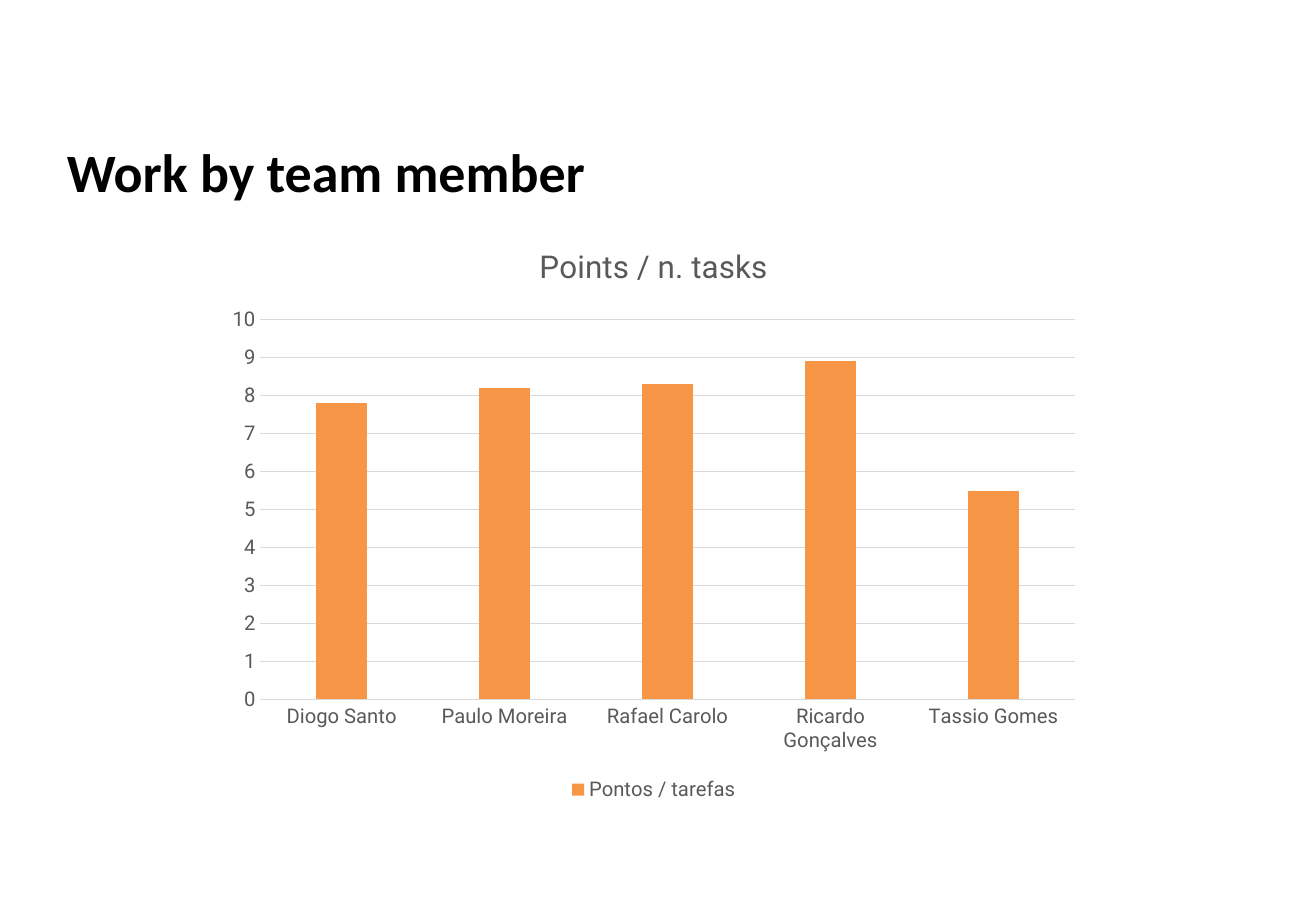
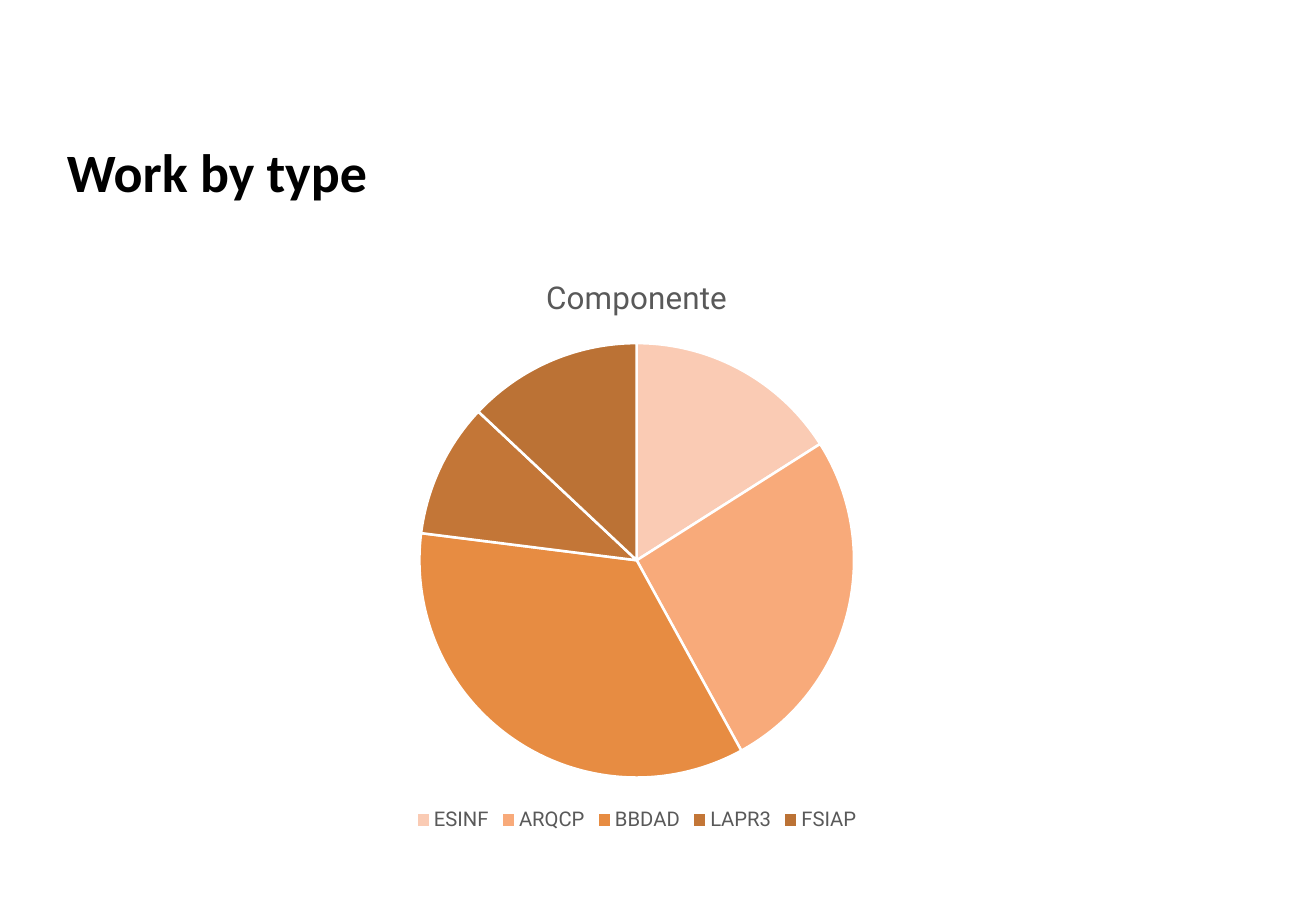
from pptx import Presentation
from pptx.chart.data import CategoryChartData
from pptx.dml.color import RGBColor
from pptx.enum.chart import XL_CHART_TYPE, XL_LEGEND_POSITION, XL_TICK_MARK
from pptx.enum.text import MSO_ANCHOR, MSO_AUTO_SIZE, PP_ALIGN
from pptx.util import Inches, Pt


def rgb(hex_color):
    return RGBColor.from_string(hex_color)


class Deck:
    BLACK = "000000"
    WHITE = "FFFFFF"
    GREY = "595959"
    RULE = "D9D9D9"
    TITLE_FONT = "Calibri"
    CHART_FONT = "Roboto"
    CHART_SIZE = (7.22, 4.81)

    def __init__(self):
        self.presentation = Presentation()
        self.presentation.slide_width = Inches(10.83)
        self.presentation.slide_height = Inches(7.5)
        self.slide = None

    def style_font(self, font, size, color, name=CHART_FONT, bold=False):
        font.name = name
        font.size = Pt(size)
        font.bold = bold
        font.color.rgb = rgb(color)

    def add_slide(self, heading):
        self.slide = self.presentation.slides.add_slide(self.presentation.slide_layouts[5])
        background = self.slide.background.fill
        background.solid()
        background.fore_color.rgb = rgb(self.WHITE)
        title = self.slide.shapes.title
        title.left, title.top = Inches(0.45), Inches(1.09)
        title.width, title.height = Inches(9.89), Inches(0.63)
        frame = title.text_frame
        frame.text = heading
        frame.auto_size = MSO_AUTO_SIZE.NONE
        frame.vertical_anchor = MSO_ANCHOR.MIDDLE
        paragraph = frame.paragraphs[0]
        paragraph.alignment = PP_ALIGN.LEFT
        self.style_font(paragraph.runs[0].font, 32, self.BLACK, self.TITLE_FONT, True)

    def add_chart(self, kind, left, top, heading, series_name, values):
        data = CategoryChartData()
        data.categories = list(values)
        data.add_series(series_name, list(values.values()))
        width, height = self.CHART_SIZE
        chart = self.slide.shapes.add_chart(
            kind, Inches(left), Inches(top), Inches(width), Inches(height), data
        ).chart
        self.style_font(chart.font, 10, self.BLACK)
        chart.has_title = True
        chart.chart_title.include_in_layout = False
        chart.chart_title.text_frame.text = heading
        heading_run = chart.chart_title.text_frame.paragraphs[0].runs[0]
        self.style_font(heading_run.font, 18.6, self.GREY)
        chart.has_legend = True
        chart.legend.position = XL_LEGEND_POSITION.BOTTOM
        chart.legend.include_in_layout = False
        self.style_font(chart.legend.font, 12, self.GREY)
        return chart

    def style_rule(self, line):
        line.color.rgb = rgb(self.RULE)
        line.width = Pt(0.75)

    def add_columns(self, left, top, heading, series_name, values, color):
        chart = self.add_chart(
            XL_CHART_TYPE.COLUMN_CLUSTERED, left, top, heading, series_name, values
        )
        plot = chart.plots[0]
        plot.gap_width = 219
        plot.overlap = -27
        plot.vary_by_categories = False
        columns = plot.series[0]
        columns.invert_if_negative = False
        columns.format.fill.solid()
        columns.format.fill.fore_color.rgb = rgb(color)
        for axis in (chart.category_axis, chart.value_axis):
            axis.major_tick_mark = XL_TICK_MARK.NONE
            axis.minor_tick_mark = XL_TICK_MARK.NONE
            self.style_font(axis.tick_labels.font, 12, self.GREY)
        self.style_rule(chart.category_axis.format.line)
        scale = chart.value_axis
        scale.minimum_scale, scale.maximum_scale, scale.major_unit = 0, 10, 1
        scale.format.line.fill.background()
        scale.has_major_gridlines = True
        self.style_rule(scale.major_gridlines.format.line)

    def add_pie(self, left, top, heading, series_name, values, colors):
        chart = self.add_chart(XL_CHART_TYPE.PIE, left, top, heading, series_name, values)
        plot = chart.plots[0]
        plot.vary_by_categories = True
        for index, color in enumerate(colors):
            wedge = plot.series[0].points[index].format
            wedge.fill.solid()
            wedge.fill.fore_color.rgb = rgb(color)
            wedge.line.color.rgb = rgb(self.WHITE)
            wedge.line.width = Pt(1.5)


def main():
    deck = Deck()

    deck.add_slide("Work by team member")
    points_per_task = {
        "Diogo Santo": 7.8,
        "Paulo Moreira": 8.2,
        "Rafael Carolo": 8.3,
        "Ricardo Gonçalves": 8.9,
        "Tassio Gomes": 5.5,
    }
    deck.add_columns(
        1.77, 1.83, "Points / n. tasks", "Pontos / tarefas", points_per_task, "F79646"
    )

    deck.add_slide("Work by type")
    work_share = {"ESINF": 16, "ARQCP": 26, "BBDAD": 35, "LAPR3": 10, "FSIAP": 13}
    oranges = ["FACBB4", "F8AA7A", "E78C42", "C37637", "BB7235"]
    deck.add_pie(1.63, 2.08, "Componente", "Series 1", work_share, oranges)

    deck.presentation.save("out.pptx")


if __name__ == "__main__":
    main()
